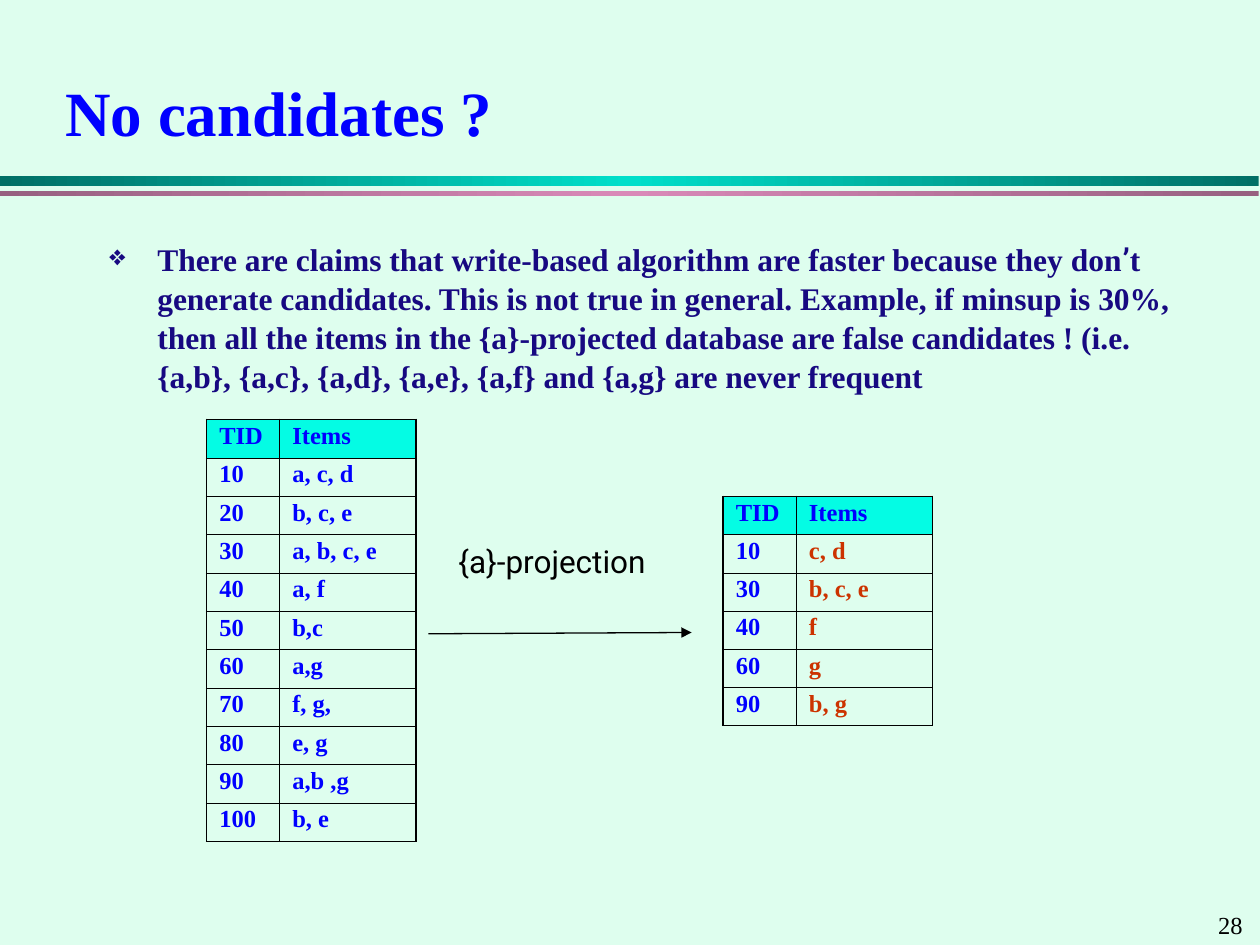
from lxml.etree import SubElement
from pptx import Presentation
from pptx.dml.color import RGBColor
from pptx.enum.shapes import MSO_CONNECTOR, MSO_SHAPE
from pptx.enum.text import MSO_ANCHOR
from pptx.oxml import parse_xml
from pptx.oxml.ns import nsdecls, qn
from pptx.util import Inches, Pt

MINT = RGBColor(0xDE, 0xFE, 0xEE)
BLUE = RGBColor(0x00, 0x00, 0xFF)
NAVY = RGBColor(0x17, 0x09, 0x81)
CYAN = RGBColor(0x04, 0xFC, 0xE4)
RUST = RGBColor(0xCC, 0x33, 0x00)
BLACK = RGBColor(0x00, 0x00, 0x00)
DARK_TEAL = RGBColor(0x00, 0x6F, 0x65)
TEAL = RGBColor(0x00, 0xDF, 0xCA)
DARK_PINK = RGBColor(0x97, 0x60, 0x80)
PINK = RGBColor(0xD9, 0x89, 0xB8)

SERIF, SANS = "Times New Roman", "Roboto"
OUTER_BORDER, INNER_BORDER = Pt(1.08), Pt(0.45)

TRANSACTIONS = [
    ("TID", "Items"), ("10", "a, c, d"), ("20", "b, c, e"),
    ("30", "a, b, c, e"), ("40", "a, f"), ("50", "b,c"), ("60", "a,g"),
    ("70", "f, g,"), ("80", "e, g"), ("90", "a,b ,g"), ("100", "b, e"),
]
PROJECTION = [
    ("TID", "Items"), ("10", "c, d"), ("30", "b, c, e"), ("40", "f"),
    ("60", "g"), ("90", "b, g"),
]
CLAIM = [
    ("There are claims that write-based algorithm are faster because they don", SERIF),
    ("’", SANS),
    ("t generate candidates. This is not true in general. Example, if minsup "
     "is 30%, then all the items in the {a}-projected database are false "
     "candidates ! (i.e. {a,b}, {a,c}, {a,d}, {a,e}, {a,f} and {a,g} are "
     "never frequent", SERIF),
]


def apply(target, formats):
    for name, value in formats.items():
        setattr(target, name, value)


class SlideBuilder:
    def __init__(self, slide):
        self.shapes = slide.shapes
        background = slide.background.fill
        background.solid()
        background.fore_color.rgb = MINT

    def styled_run(self, paragraph, words, color, size, font=SERIF, bold=False):
        run = paragraph.add_run()
        run.text = words
        apply(run.font, {"name": font, "size": Pt(size), "bold": bold})
        run.font.color.rgb = color

    def bar(self, top, height, edge, middle):
        """Full-width rule that shades from edge to middle and back."""
        rule = self.shapes.add_shape(
            MSO_SHAPE.RECTANGLE, 0, Inches(top), Inches(9.99), Inches(height))
        rule.shadow.inherit = False
        rule.line.fill.background()
        rule.fill.gradient()
        rule.fill.gradient_angle = 0
        stops = rule._element.spPr.find(qn("a:gradFill")).find(qn("a:gsLst"))
        for stop in list(stops):
            stops.remove(stop)
        for position, color in ((0, edge), (50, middle), (100, edge)):
            stop = SubElement(stops, qn("a:gs"), pos=str(position * 1000))
            SubElement(stop, qn("a:srgbClr"), val=str(color))

    def text(self, box, runs, color, size, bold=False, **frame_formats):
        frame = self.shapes.add_textbox(*map(Inches, box)).text_frame
        apply(frame, {"word_wrap": True, **frame_formats})
        paragraph = frame.paragraphs[0]
        for words, font in runs:
            self.styled_run(paragraph, words, color, size, font, bold)
        return paragraph

    def bullet(self, paragraph, symbol, color):
        properties = paragraph._p.get_or_add_pPr()
        indent = Inches(0.38)
        properties.set("marL", str(indent))
        properties.set("indent", str(-indent))
        tint = SubElement(properties, qn("a:buClr"))
        SubElement(tint, qn("a:srgbClr"), val=str(color))
        SubElement(properties, qn("a:buSzPct"), val="90000")
        SubElement(properties, qn("a:buChar"), char=symbol)

    def borders(self, cell, outer_sides):
        properties = cell._tc.get_or_add_tcPr()
        for side in "LRTB":
            width = OUTER_BORDER if side in outer_sides else INNER_BORDER
            properties.append(parse_xml(
                f'<a:ln{side} {nsdecls("a")} w="{width}"><a:solidFill>'
                f'<a:srgbClr val="{BLACK}"/></a:solidFill></a:ln{side}>'))

    def table(self, left, top, height, rows, item_color):
        widths = (Inches(0.58), Inches(1.08))
        table = self.shapes.add_table(
            len(rows), len(widths), Inches(left), Inches(top),
            sum(widths), Inches(height)).table
        apply(table, {"first_row": False, "horz_banding": False})
        for column, width in zip(table.columns, widths):
            column.width = width
        last = len(rows) - 1
        for r, row in enumerate(rows):
            for c, words in enumerate(row):
                cell = table.cell(r, c)
                apply(cell, {
                    "vertical_anchor": MSO_ANCHOR.MIDDLE,
                    "margin_left": Inches(0.1), "margin_right": Inches(0.1),
                    "margin_top": Inches(0.05), "margin_bottom": Inches(0.05),
                })
                outer = "LR"[c] + ("T" if r == 0 else "B" if r == last else "")
                self.borders(cell, outer)
                if r == 0:
                    cell.fill.solid()
                    cell.fill.fore_color.rgb = CYAN
                else:
                    cell.fill.background()
                paragraph = cell.text_frame.paragraphs[0]
                apply(paragraph, {"line_spacing": 0.7, "space_before": Pt(3.5)})
                color = item_color if r and c else BLUE
                self.styled_run(paragraph, words, color, 14, bold=True)

    def arrow(self, start, end):
        connector = self.shapes.add_connector(
            MSO_CONNECTOR.STRAIGHT, *map(Inches, start + end))
        connector.line.width = Pt(0.75)
        connector.line.color.rgb = BLACK
        outline = connector._element.spPr.find(qn("a:ln"))
        SubElement(outline, qn("a:tailEnd"), type="triangle")
        SubElement(connector._element.spPr, qn("a:effectLst"))


def main():
    deck = Presentation()
    apply(deck, {"slide_width": Inches(10), "slide_height": Inches(7.5)})
    page = SlideBuilder(deck.slides.add_slide(deck.slide_layouts[6]))

    page.bar(1.4, 0.08, DARK_TEAL, TEAL)
    page.bar(1.52, 0.04, DARK_PINK, PINK)
    page.text((9.57, 7.17, 0.43, 0.34), [("28", SERIF)], BLACK, 14)
    page.text((0.42, 0.42, 9.17, 0.92), [("No candidates ?", SERIF)], BLUE, 36,
              bold=True, vertical_anchor=MSO_ANCHOR.MIDDLE)
    claim = page.text((0.77, 1.47, 8.88, 4.64), CLAIM, NAVY, 18,
                      bold=True, margin_top=Inches(0.42))
    claim.line_spacing = 1.04
    page.bullet(claim, "❖", NAVY)

    page.table(1.64, 3.33, 3.35, TRANSACTIONS, BLUE)
    page.arrow((3.4, 5.03), (5.49, 5.02))
    page.table(5.74, 3.94, 1.82, PROJECTION, RUST)
    page.text((3.54, 4.25, 1.98, 0.4), [("{a}-projection", SANS)], BLACK, 18)

    deck.save("out.pptx")


if __name__ == "__main__":
    main()
